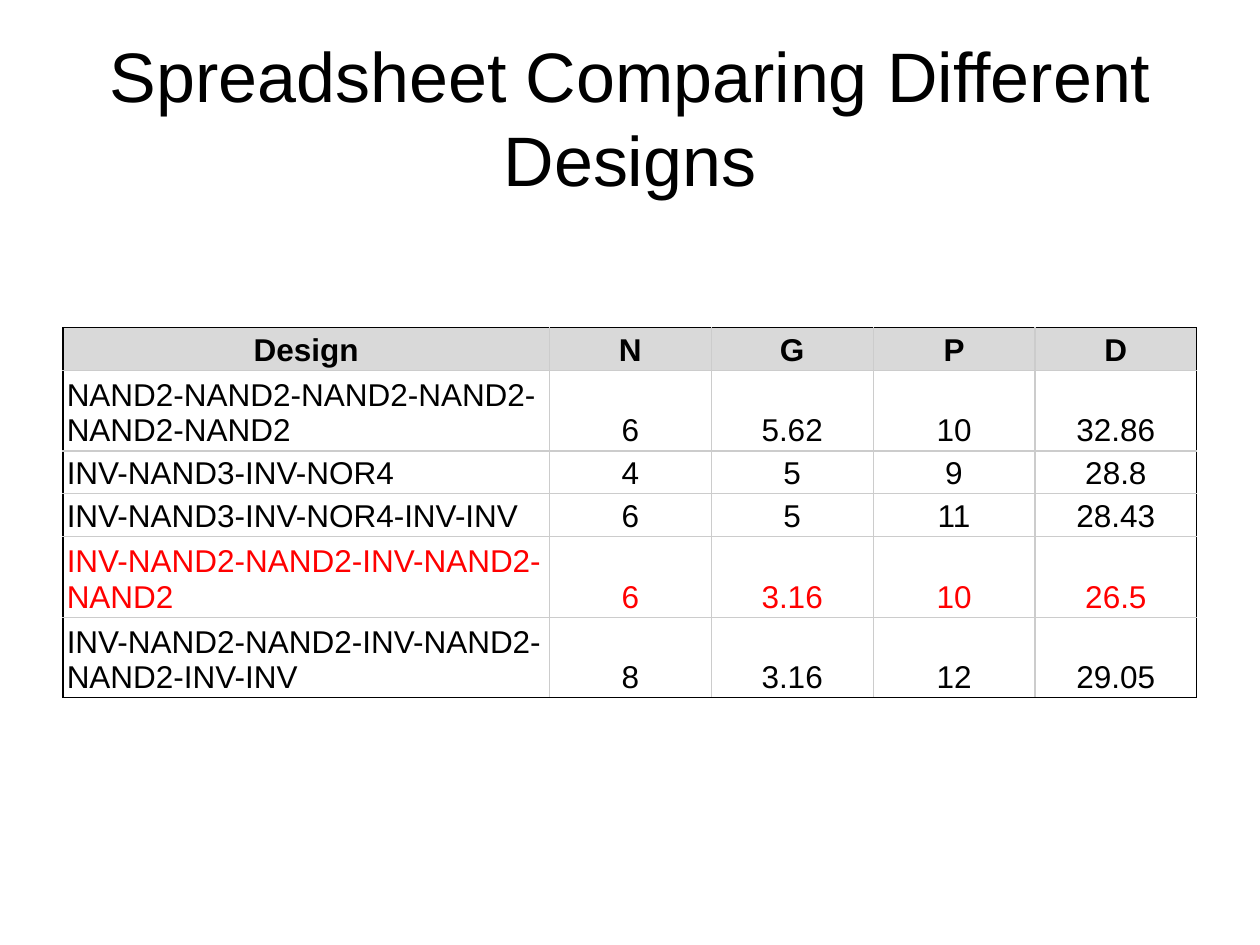
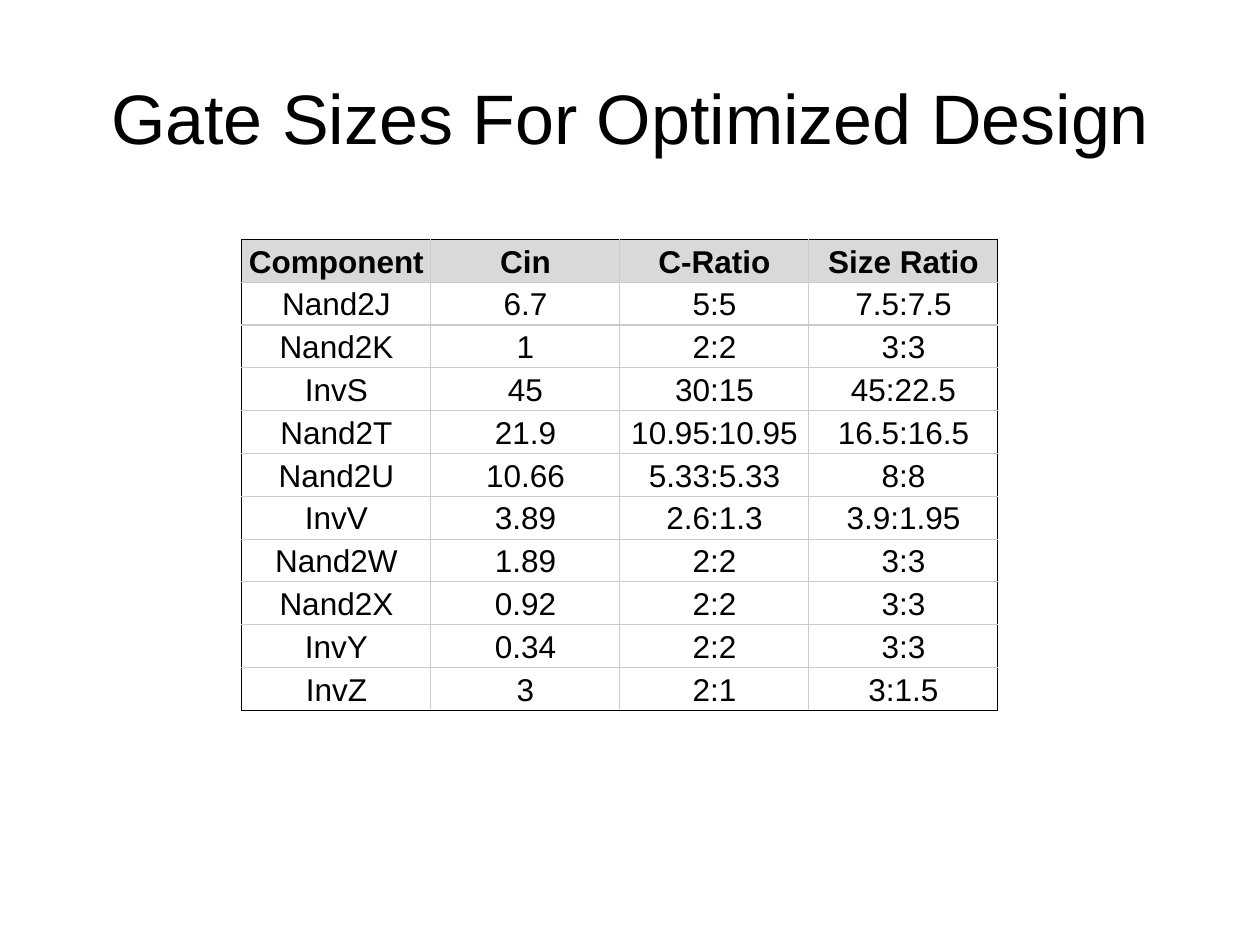
from lxml.etree import SubElement as Sub
from pptx import Presentation
from pptx.dml.color import RGBColor as Rgb
from pptx.enum.text import MSO_ANCHOR as Anchor, PP_ALIGN as Align
from pptx.oxml.ns import qn
from pptx.util import Inches, Pt

BLACK = Rgb(0x00, 0x00, 0x00)
RED = Rgb(0xFF, 0x00, 0x00)
GRAY = Rgb(0xD9, 0xD9, 0xD9)
RULE = Rgb(0xCC, 0xCC, 0xCC)

DESIGNS = [
    ("Design", "N", "G", "P", "D"),
    ("NAND2-NAND2-NAND2-NAND2-NAND2-NAND2", "6", "5.62", "10", "32.86"),
    ("INV-NAND3-INV-NOR4", "4", "5", "9", "28.8"),
    ("INV-NAND3-INV-NOR4-INV-INV", "6", "5", "11", "28.43"),
    ("INV-NAND2-NAND2-INV-NAND2-NAND2", "6", "3.16", "10", "26.5"),
    ("INV-NAND2-NAND2-INV-NAND2-NAND2-INV-INV", "8", "3.16", "12", "29.05"),
]
GATES = [
    ("Component", "Cin", "C-Ratio", "Size Ratio"),
    ("Nand2J", "6.7", "5:5", "7.5:7.5"),
    ("Nand2K", "1", "2:2", "3:3"),
    ("InvS", "45", "30:15", "45:22.5"),
    ("Nand2T", "21.9", "10.95:10.95", "16.5:16.5"),
    ("Nand2U", "10.66", "5.33:5.33", "8:8"),
    ("InvV", "3.89", "2.6:1.3", "3.9:1.95"),
    ("Nand2W", "1.89", "2:2", "3:3"),
    ("Nand2X", "0.92", "2:2", "3:3"),
    ("InvY", "0.34", "2:2", "3:3"),
    ("InvZ", "3", "2:1", "3:1.5"),
]


class Deck:
    font = "Arial"
    head_size = Pt(40)
    cell_size = Pt(18)
    line = Pt(0.75)
    unit = Inches(0.5)
    row_span = 0.44

    def __init__(self):
        self.show = Presentation()
        self.show.slide_width = 20 * self.unit
        self.show.slide_height = 15 * self.unit

    def grid(self, *spans):
        return [round(span * self.unit) for span in spans]

    def label(self, frame, text, size, color=BLACK, bold=False, align=Align.CENTER):
        frame.text = text
        para = frame.paragraphs[0]
        para.alignment = align
        font = para.runs[0].font
        font.name, font.size, font.bold = self.font, size, bold
        font.color.rgb = color

    def page(self, title):
        self.slide = self.show.slides.add_slide(self.show.slide_layouts[6])
        frame = self.slide.shapes.add_textbox(*self.grid(1, 0.6, 18, 2.5)).text_frame
        frame.word_wrap = True
        frame.vertical_anchor = Anchor.MIDDLE
        self.label(frame, title, self.head_size)

    def edge(self, cell, side, color):
        props = cell._tc.get_or_add_tcPr()
        line = Sub(props, qn(f"a:ln{side}"), w=str(self.line))
        Sub(Sub(line, qn("a:solidFill")), qn("a:srgbClr"), val=str(color))

    def cell(self, cell, text, outer, head, color, align):
        cell.margin_left = cell.margin_right = Inches(0.03)
        cell.margin_top = cell.margin_bottom = Inches(0.02)
        cell.vertical_anchor = Anchor.BOTTOM
        self.label(cell.text_frame, text, self.cell_size, color, head, align)
        for side in "LRTB":
            self.edge(cell, side, BLACK if side in outer else RULE)
        if head:
            cell.fill.solid()
            cell.fill.fore_color.rgb = GRAY
        else:
            cell.fill.background()

    def table(self, data, left, top, spans, tall, mark=None, first=Align.CENTER):
        box = self.grid(left, top, sum(spans), tall)
        shape = self.slide.shapes.add_table(len(data), len(spans), *box)
        table = shape.table
        table.first_row = table.horz_banding = False
        for col, wide in zip(table.columns, self.grid(*spans)):
            col.width = wide
        for r, (row, texts) in enumerate(zip(table.rows, data)):
            row.height = self.grid(self.row_span)[0]
            for c, text in enumerate(texts):
                ends = {"L": c == 0, "R": c == len(spans) - 1,
                        "T": r == 0, "B": r == len(data) - 1}
                outer = [side for side, end in ends.items() if end]
                align = first if c == 0 and r else Align.CENTER
                color = RED if r == mark else BLACK
                self.cell(table.cell(r, c), text, outer, r == 0, color, align)
        shape.height = box[3]


def main():
    deck = Deck()
    deck.page("Spreadsheet Comparing Different Designs")
    deck.table(DESIGNS, 1, 5.2, [7.72] + [2.57] * 4, 5.9, mark=4, first=Align.LEFT)
    deck.page("Gate Sizes For Optimized Design")
    deck.table(GATES, 3.84, 3.8, [3] * 4, 7.52)
    deck.show.save("out.pptx")


if __name__ == "__main__":
    main()
